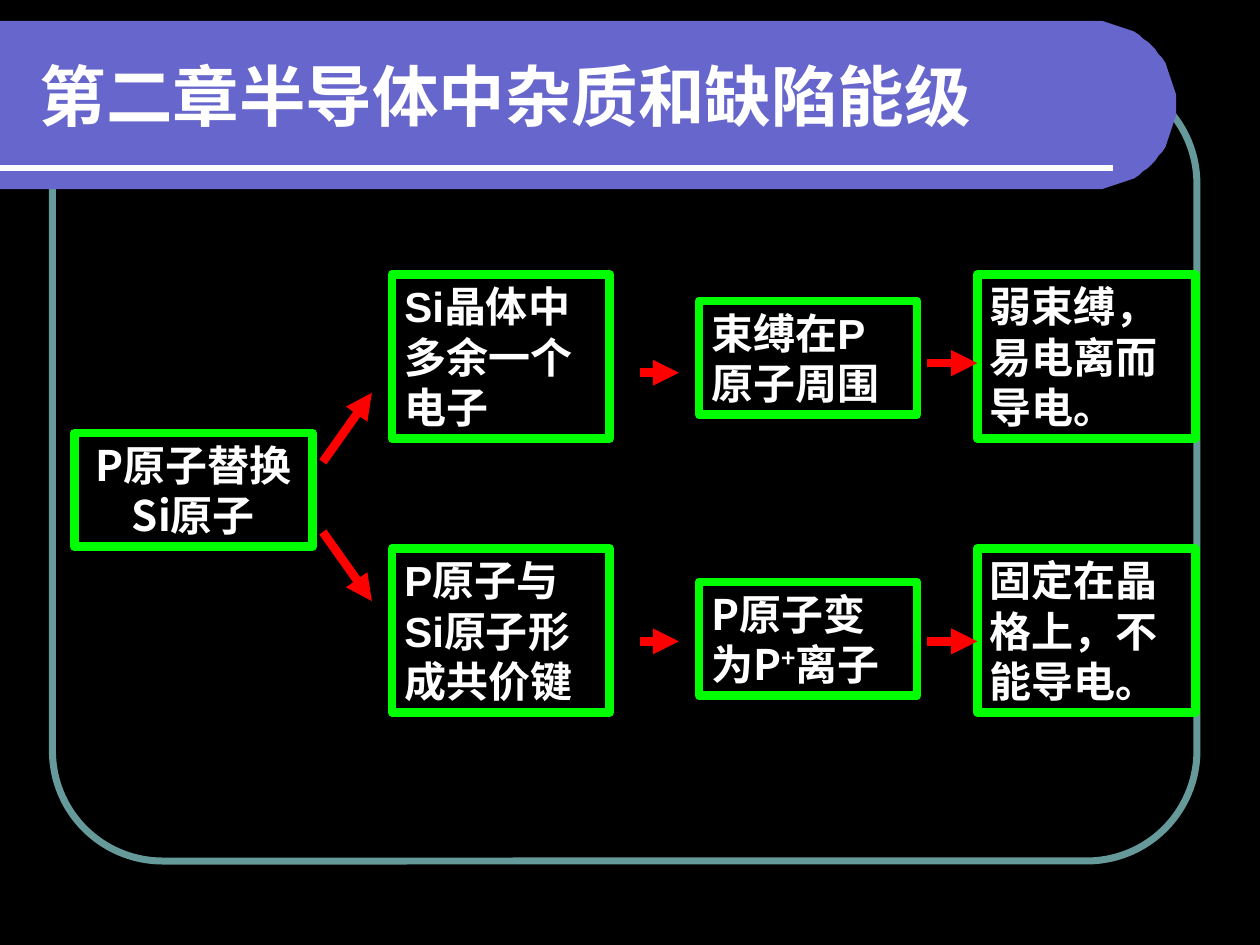
from math import cos, pi, sin
from lxml import etree
from pptx import Presentation
from pptx.dml.color import RGBColor
from pptx.enum.shapes import MSO_CONNECTOR, MSO_SHAPE
from pptx.enum.text import MSO_ANCHOR, PP_ALIGN
from pptx.oxml.ns import qn
from pptx.util import Pt

LINE = MSO_CONNECTOR.STRAIGHT
RECT, ROUND = MSO_SHAPE.RECTANGLE, MSO_SHAPE.ROUNDED_RECTANGLE
TOP, MIDDLE = MSO_ANCHOR.TOP, MSO_ANCHOR.MIDDLE
LEFT, CENTER = PP_ALIGN.LEFT, PP_ALIGN.CENTER
LATIN, CJK = "Arial", "Noto Sans CJK SC"
HEX = {"back": "000000", "text": "FFFFFF", "band": "6666CC",
       "frame": "669999", "box": "00FF00", "arrow": "FF0000"}
RGB = {name: RGBColor.from_string(code) for name, code in HEX.items()}


def style(para, size, face):
    font = para.font
    font.size, font.bold, font.name = Pt(size), True, face
    font.color.rgb = RGB["text"]
    props = para._p.pPr.find(qn("a:defRPr"))
    etree.SubElement(props, qn("a:ea")).set("typeface", CJK)


def draw_line(start, end, color, width, arrow=False):
    line = slide.shapes.add_connector(LINE, *map(Pt, start + end))
    line.line.color.rgb = RGB[color]
    line.line.width = Pt(width)
    if arrow:
        tip = etree.SubElement(line.line._get_or_add_ln(), qn("a:tailEnd"))
        tip.set("type", "triangle")
    etree.SubElement(line._element.spPr, qn("a:effectLst"))


deck = Presentation()
deck.slide_width, deck.slide_height = Pt(720), Pt(540)
slide = deck.slides.add_slide(deck.slide_layouts[6])
slide.background.fill.solid()
slide.background.fill.fore_color.rgb = RGB["back"]

# Rounded frame
frame = slide.shapes.add_shape(ROUND, Pt(30), Pt(42), Pt(654), Pt(450))
frame.adjustments[0] = 0.14
frame.shadow.inherit = False
frame.fill.background()
frame.line.color.rgb = RGB["frame"]
frame.line.width = Pt(4)

# Title band with a round right end
mid, rad, steps = (624, 60), 48, 48
arc = [(mid[0] + rad * sin(pi * i / steps), mid[1] - rad * cos(pi * i / steps))
       for i in range(steps + 1)]
pen = slide.shapes.build_freeform(0, mid[1] - rad, scale=Pt(1))
pen.add_line_segments(arc + [(0, mid[1] + rad)], close=True)
band = pen.convert_to_shape()
band.shadow.inherit = False
band.fill.solid()
band.fill.fore_color.rgb = RGB["band"]
band.line.fill.background()
draw_line((0, 96), (636, 96), "text", 3)

# Title
title = slide.shapes.add_textbox(Pt(15.5), Pt(18), Pt(631), Pt(72))
title.text_frame.word_wrap = True
title.text_frame.vertical_anchor = MIDDLE
para = title.text_frame.paragraphs[0]
para.text = "第二章半导体中杂质和缺陷能级"
style(para, 38, LATIN)

# Boxes: left, top, width, height, alignment, font, runs
COLS, WIDE = (224, 399.5, 558.5), 124.5
LOW, TALL = 65, 93.5
boxes = [
    (42.5, 247.5, 136, LOW, CENTER, CJK, ["P原子替换Si原子"]),
    (COLS[0], 157, WIDE, TALL, LEFT, LATIN, ["Si晶体中多余一个电子"]),
    (COLS[0], 313.5, WIDE, TALL, LEFT, LATIN, ["P原子与Si原子形成共价键"]),
    (COLS[1], 172, WIDE, LOW, LEFT, LATIN, ["束缚在P原子周围"]),
    (COLS[1], 332.5, WIDE, LOW, LEFT, CJK, ["P原子变为P", "+", "离子"]),
    (COLS[2], 157, WIDE, TALL, LEFT, LATIN, ["弱束缚，易电离而导电。"]),
    (COLS[2], 313.5, WIDE, TALL, LEFT, LATIN, ["固定在晶格上，不能导电。"]),
]
for left, top, width, height, align, face, runs in boxes:
    box = slide.shapes.add_shape(RECT, Pt(left), Pt(top), Pt(width), Pt(height))
    box.shadow.inherit = False
    box.fill.background()
    box.line.color.rgb = RGB["box"]
    box.line.width = Pt(5)
    box.text_frame.word_wrap = True
    box.text_frame.vertical_anchor = TOP
    para = box.text_frame.paragraphs[0]
    para.alignment = align
    style(para, 24, face)
    for text in runs:
        run = para.add_run()
        run.text = text
        if text == "+":
            run._r.get_or_add_rPr().set("baseline", "30000")

# Arrows
arrows = [
    ((184.5, 264), (212.5, 224.5)), ((184.5, 304), (212.5, 343.5)),
    ((365.5, 213), (388, 213)), ((365.5, 366.5), (388, 366.5)),
    ((530, 207.5), (558.5, 207.5)), ((530, 366.5), (558.5, 366.5)),
]
for start, end in arrows:
    draw_line(start, end, "arrow", 5, arrow=True)

deck.save("out.pptx")
